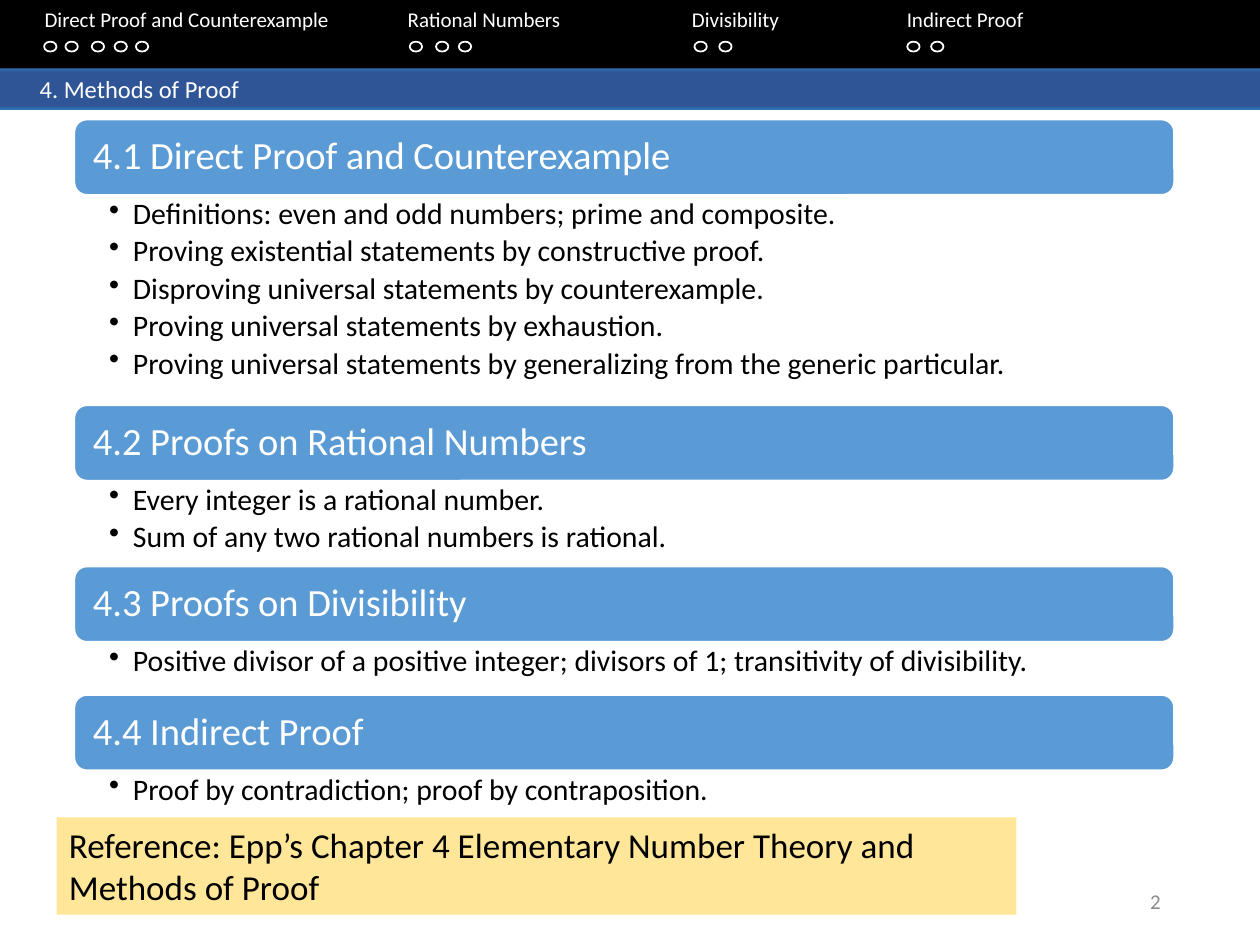
from dataclasses import dataclass

from lxml import etree
from pptx import Presentation
from pptx.dml.color import RGBColor
from pptx.enum.shapes import MSO_SHAPE
from pptx.enum.text import MSO_ANCHOR, PP_ALIGN
from pptx.oxml.ns import qn
from pptx.util import Cm, Pt

RECTANGLE = MSO_SHAPE.RECTANGLE
ROUNDED = MSO_SHAPE.ROUNDED_RECTANGLE
OVAL = MSO_SHAPE.OVAL
TOP = MSO_ANCHOR.TOP
MIDDLE = MSO_ANCHOR.MIDDLE
LEFT = PP_ALIGN.LEFT
RIGHT = PP_ALIGN.RIGHT

FONT = "Calibri"
COLORS = {
    "black": "000000",
    "white": "FFFFFF",
    "heading": "5B9BD5",
    "band_edge": "2E75B6",
    "band_middle": "2F5597",
    "reference": "FFE699",
    "number": "8C8C8C",
}
SLIDE_WIDTH = 25.4
CONTENT_LEFT, CONTENT_TOP, CONTENT_WIDTH = 1.5, 2.41, 22.17
HEADING_HEIGHT = 1.52
NAVIGATION_LEFT = 0.9
DOT_TOP, DOT_WIDTH, DOT_HEIGHT = 0.84, 0.25, 0.2


@dataclass
class Topic:
    label: str
    left: float
    dots: list[float]


@dataclass
class Section:
    heading: str
    points: list[str]
    body_height: float


TOPICS = [
    Topic("Direct Proof and Counterexample", 0.9, [0.89, 1.32, 1.85, 2.31, 2.74]),
    Topic("Rational Numbers", 8.22, [8.26, 8.79, 9.25]),
    Topic("Divisibility", 13.95, [14.0, 14.5]),
    Topic("Indirect Proof", 18.28, [18.29, 18.77]),
]

SECTIONS = [
    Section("4.1 Direct Proof and Counterexample", [
        "Definitions: even and odd numbers; prime and composite.",
        "Proving existential statements by constructive proof.",
        "Disproving universal statements by counterexample.",
        "Proving universal statements by exhaustion.",
        "Proving universal statements by generalizing from the generic particular.",
    ], 4.24),
    Section("4.2 Proofs on Rational Numbers", [
        "Every integer is a rational number.",
        "Sum of any two rational numbers is rational.",
    ], 1.73),
    Section("4.3 Proofs on Divisibility", [
        "Positive divisor of a positive integer; divisors of 1; transitivity of divisibility.",
    ], 1.07),
    Section("4.4 Indirect Proof", [
        "Proof by contradiction; proof by contraposition.",
    ], 1.07),
]


def rgb(name: str) -> RGBColor:
    return RGBColor.from_string(COLORS[name])


def add_box(slide, kind, left: float, top: float, width: float, height: float,
            fill: str | None = None, line: str | None = None):
    shape = slide.shapes.add_shape(kind, Cm(left), Cm(top), Cm(width), Cm(height))
    shape.shadow.inherit = False
    if fill:
        shape.fill.solid()
        shape.fill.fore_color.rgb = rgb(fill)
    else:
        shape.fill.background()
    if line:
        shape.line.color.rgb = rgb(line)
        shape.line.width = Pt(1)
    else:
        shape.line.fill.background()
    return shape


def add_text_box(slide, left: float, top: float, width: float, height: float):
    return slide.shapes.add_textbox(Cm(left), Cm(top), Cm(width), Cm(height))


def add_bullet(paragraph) -> None:
    properties = paragraph._p.get_or_add_pPr()
    properties.set("marL", str(Cm(0.48)))
    properties.set("indent", str(-Cm(0.48)))
    etree.SubElement(properties, qn("a:buChar"), char="•")


def add_tabs(paragraph, positions: list[float]) -> None:
    tab_list = etree.SubElement(paragraph._p.get_or_add_pPr(), qn("a:tabLst"))
    for position in positions:
        etree.SubElement(tab_list, qn("a:tab"), pos=str(Cm(position)), algn="l")


def write_text(shape, lines: list[str], *, size: float, color: str, anchor=TOP,
               align=LEFT, left_inset: float = 0.25, right_inset: float = 0.25,
               vertical_inset: float = 0.13, line_spacing: float = 1.0,
               space_after: float = 0, bullet: bool = False,
               tabs: list[float] | None = None) -> None:
    frame = shape.text_frame
    frame.word_wrap = True
    frame.vertical_anchor = anchor
    frame.margin_left, frame.margin_right = Cm(left_inset), Cm(right_inset)
    frame.margin_top = frame.margin_bottom = Cm(vertical_inset)
    for index, line in enumerate(lines):
        paragraph = frame.add_paragraph() if index else frame.paragraphs[0]
        paragraph.alignment = align
        paragraph.line_spacing = line_spacing
        paragraph.space_after = Pt(space_after)
        if bullet:
            add_bullet(paragraph)
        if tabs:
            add_tabs(paragraph, tabs)
        run = paragraph.add_run()
        run.text = line
        run.font.name = FONT
        run.font.size = Pt(size)
        run.font.color.rgb = rgb(color)


def set_band_gradient(shape) -> None:
    shape.fill.gradient()
    shape.fill.gradient_angle = 270
    stops = shape._element.spPr.find(qn("a:gradFill")).find(qn("a:gsLst"))
    for stop in list(stops):
        stops.remove(stop)
    for percent, name in ((0, "band_edge"), (11, "band_middle"),
                          (91, "band_middle"), (100, "band_edge")):
        stop = etree.SubElement(stops, qn("a:gs"), pos=str(percent * 1000))
        etree.SubElement(stop, qn("a:srgbClr"), val=COLORS[name])


def draw_section(slide, section: Section, top: float) -> float:
    heading = add_box(slide, ROUNDED, CONTENT_LEFT, top, CONTENT_WIDTH,
                      HEADING_HEIGHT, "heading", "white")
    write_text(heading, [section.heading], size=22, color="white", anchor=MIDDLE,
               left_inset=0.3, line_spacing=0.9)
    body_top = top + HEADING_HEIGHT
    body = add_text_box(slide, CONTENT_LEFT, body_top, CONTENT_WIDTH, section.body_height)
    write_text(body, section.points, size=17, color="black", left_inset=0.7,
               right_inset=0.43, vertical_inset=0.08, line_spacing=0.9,
               space_after=3, bullet=True)
    return body_top + section.body_height


def draw_navigation(slide, topics: list[Topic]) -> None:
    add_box(slide, RECTANGLE, 0, -0.04, SLIDE_WIDTH, 1.42, "black")
    labels = add_text_box(slide, 0, 0, SLIDE_WIDTH, 1.27)
    write_text(labels, ["\t".join(topic.label for topic in topics)], size=12,
               color="white", left_inset=NAVIGATION_LEFT,
               tabs=[topic.left - NAVIGATION_LEFT for topic in topics[1:]])
    for topic in topics:
        for left in topic.dots:
            add_box(slide, OVAL, left, DOT_TOP, DOT_WIDTH, DOT_HEIGHT, line="white")


def main() -> None:
    presentation = Presentation()
    presentation.slide_width = Cm(SLIDE_WIDTH)
    presentation.slide_height = Cm(19.05)
    slide = presentation.slides.add_slide(presentation.slide_layouts[6])

    number = add_text_box(slide, 17.93, 17.65, 5.72, 1.02)
    write_text(number, ["2"], size=12, color="number", anchor=MIDDLE, align=RIGHT)

    band = add_box(slide, RECTANGLE, 0, 1.37, SLIDE_WIDTH, 0.84)
    set_band_gradient(band)
    write_text(band, ["4. Methods of Proof"], size=14, color="white",
               anchor=MIDDLE, left_inset=0.8)

    top = CONTENT_TOP
    for section in SECTIONS:
        top = draw_section(slide, section, top)

    draw_navigation(slide, TOPICS)

    reference = add_box(slide, RECTANGLE, 1.14, 16.48, 19.35, 1.96, "reference")
    write_text(reference,
               ["Reference: Epp’s Chapter 4 Elementary Number Theory and Methods of Proof"],
               size=20, color="black")

    presentation.save("out.pptx")


if __name__ == "__main__":
    main()
